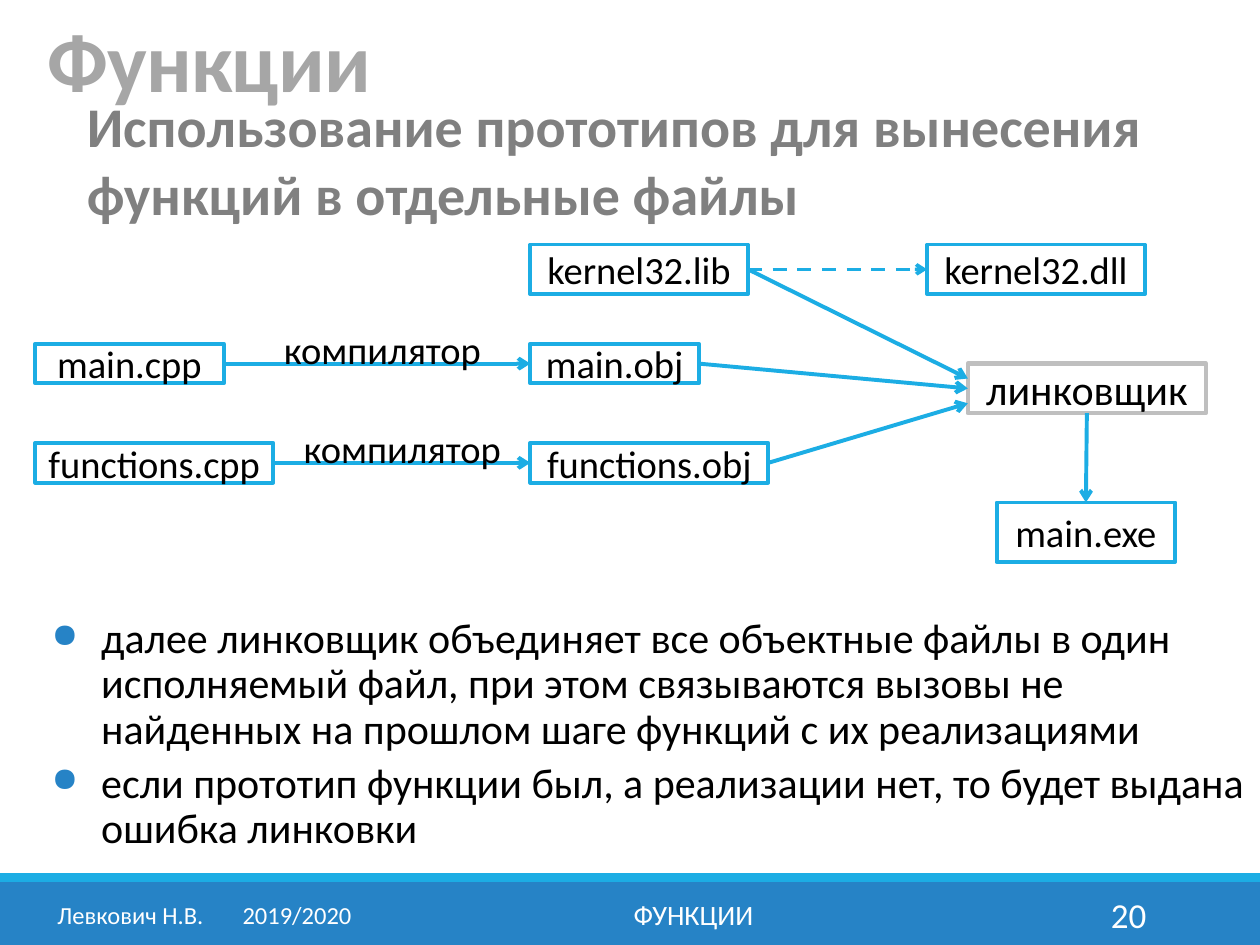
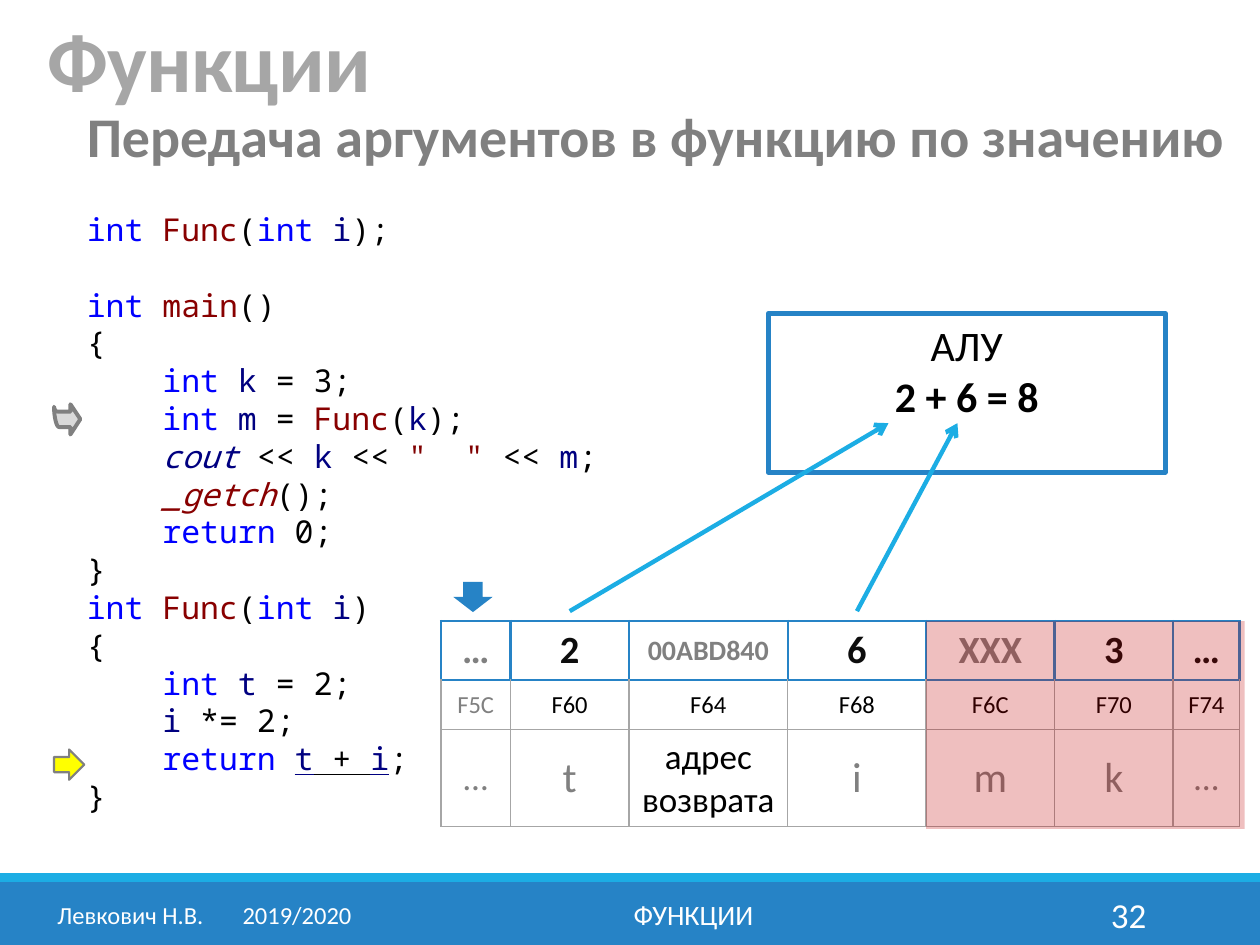
from dataclasses import dataclass
from itertools import groupby

from lxml import etree
from pptx import Presentation
from pptx.dml.color import RGBColor
from pptx.enum.dml import MSO_LINE
from pptx.enum.shapes import MSO_CONNECTOR, MSO_SHAPE
from pptx.enum.text import MSO_ANCHOR, PP_ALIGN
from pptx.oxml.ns import qn
from pptx.util import Cm, Pt


@dataclass(frozen=True)
class Theme:
    font: str = "Calibri"
    mono: str = "Noto Sans Mono"
    blue: str = "2683C6"
    sky: str = "1CADE4"
    white: str = "FFFFFF"
    black: str = "000000"
    ink: str = "0D0D0D"
    gray: str = "808080"
    title_gray: str = "A6A6A6"
    light_gray: str = "BFBFBF"
    pale_gray: str = "D9D9D9"
    yellow: str = "FFFF00"
    red: str = "C00000"
    keyword: str = "0000FF"
    function: str = "880000"
    variable: str = "000080"
    string: str = "800000"
    title: int = 48
    subtitle: int = 32
    body: int = 24
    node: int = 22
    medium: int = 20
    code: int = 18
    small: int = 16
    tiny: int = 14


T = Theme()
LEFT, CENTER, RIGHT = PP_ALIGN.LEFT, PP_ALIGN.CENTER, PP_ALIGN.RIGHT
TOP, MIDDLE, BOTTOM = MSO_ANCHOR.TOP, MSO_ANCHOR.MIDDLE, MSO_ANCHOR.BOTTOM

CODE = """int Func(int i);

int main()
{
    int k = 3;
    int m = Func(k);
    cout << k << "  " << m;
    _getch();
    return 0;
}
int Func(int i)
{
    int t = 2;
    i *= 2;
    return t + i;
}"""
CODE_PITCH = 21.6
WORD_COLORS = {
    **dict.fromkeys(("int", "return"), T.keyword),
    **dict.fromkeys(("Func", "main", "_getch"), T.function),
    **dict.fromkeys(("cout", "k", "m", "i", "t"), T.variable),
}
ITALIC_WORDS = ("cout", "_getch")
ACTIVE_EXPRESSION = "t + i"


def rgb(color):
    return RGBColor.from_string(color)


def cm(*values):
    return [Cm(v) for v in values]


def add_run(p, text, size=T.node, color=T.black, font=T.font, bold=False,
            italic=False, underline=False, tracking=None):
    r = p.add_run()
    r.text = text
    f = r.font
    f.name, f.size, f.bold, f.italic = font, Pt(size), bold, italic
    f.underline = underline
    f.color.rgb = rgb(color)
    if tracking:
        r._r.get_or_add_rPr().set("spc", str(tracking))


def put_text(tf, text, align=LEFT, anchor=TOP, line_spacing=None, before=0,
             bullet=None, tab=None, **fmt):
    """Fill a text frame, one paragraph per line; a vertical tab breaks a line."""
    tf.word_wrap = True
    tf.vertical_anchor = anchor
    for i, line in enumerate(text.split("\n")):
        p = tf.add_paragraph() if i else tf.paragraphs[0]
        p.alignment = align
        if bullet:
            add_bullet(p, bullet)
        if tab:
            tabs = etree.SubElement(p._p.get_or_add_pPr(), qn("a:tabLst"))
            etree.SubElement(tabs, qn("a:tab"), pos=str(Cm(tab)), algn="l")
        if line_spacing:
            p.line_spacing = line_spacing
        if i and before:
            p.space_before = Pt(before)
        for j, part in enumerate(line.split("\v")):
            if j:
                p.add_line_break()
            add_run(p, part, **fmt)


def add_bullet(p, char):
    pPr = p._p.get_or_add_pPr()
    pPr.set("marL", str(Cm(1)))
    pPr.set("indent", str(-Cm(1)))
    color = etree.SubElement(pPr, qn("a:buClr"))
    etree.SubElement(color, qn("a:srgbClr"), val=T.blue)
    etree.SubElement(pPr, qn("a:buSzPct"), val="80000")
    etree.SubElement(pPr, qn("a:buChar"), char=char)


def add_text(slide, box, text, **fmt):
    put_text(slide.shapes.add_textbox(*cm(*box)).text_frame, text, **fmt)


def style_shape(sp, fill=None, line=None, width=2.25):
    sp.shadow.inherit = False
    if fill:
        sp.fill.solid()
        sp.fill.fore_color.rgb = rgb(fill)
    else:
        sp.fill.background()
    if line:
        sp.line.color.rgb = rgb(line)
        sp.line.width = Pt(width)
    else:
        sp.line.fill.background()
    return sp


def add_box(slide, box, kind=MSO_SHAPE.RECTANGLE, **style):
    return style_shape(slide.shapes.add_shape(kind, *cm(*box)), **style)


def add_arrow(slide, start, end, width=2.25, dashed=False):
    cn = slide.shapes.add_connector(MSO_CONNECTOR.STRAIGHT, *cm(*start, *end))
    cn.line.color.rgb = rgb(T.sky)
    cn.line.width = Pt(width)
    if dashed:
        cn.line.dash_style = MSO_LINE.DASH
    etree.SubElement(cn.line._get_or_add_ln(), qn("a:tailEnd"), type="arrow")
    etree.SubElement(cn._element.spPr, qn("a:effectLst"))


def new_slide(prs, subtitle, subtitle_box, number):
    """Add a slide with the shared bands, title, subtitle and footer."""
    slide = prs.slides.add_slide(prs.slide_layouts[6])
    add_box(slide, (0, 17.78, 25.4, 1.27), fill=T.blue)
    add_box(slide, (0, 17.6, 25.4, 0.18), fill=T.sky)
    add_text(slide, subtitle_box, subtitle, size=T.subtitle, color=T.gray, bold=True)
    add_text(slide, (0.71, 0, 20.95, 2.33), "Функции", anchor=BOTTOM, line_spacing=0.85,
             size=T.title, color=T.title_gray, bold=True, tracking=-50)
    for x, w, text, size, align, tab in (
            (0.81, 6.63, "Левкович Н.В.\t2019/2020", T.tiny, CENTER, 3.73),
            (7.67, 12.62, "ФУНКЦИИ", T.small, CENTER, None),
            (20.62, 2.74, number, T.medium, RIGHT, None)):
        add_text(slide, (x, 17.93, w, 1.02), text, align=align, anchor=MIDDLE,
                 tab=tab, size=size, color=T.white)
    return slide


def build_diagram(slide, left, top):
    nodes = {}

    def node(text, x, y, w, h, line=T.sky, width=2.25, size=T.node):
        nodes[text] = box = (left + x, top + y, w, h)
        sp = add_box(slide, box, line=line, width=width)
        put_text(sp.text_frame, text, align=CENTER, anchor=MIDDLE, size=size)

    def port(name, fx, fy):
        """Point of a node at the given shares of its width and height."""
        x, y, w, h = nodes[name]
        return x + fx * w, y + fy * h

    def link(source, target, entry=0.5, **style):
        add_arrow(slide, port(source, 1, 0.5), port(target, 0, entry), **style)

    node("kernel32.lib", 9.98, 0, 4.39, 1)
    node("kernel32.dll", 17.98, 0, 4.39, 1)
    node("линковщик", 18.8, 2.4, 4.8, 1, line=T.light_gray, width=2.5, size=T.body)
    node("main.exe", 19.38, 5.2, 3.6, 1.2)
    for stem, y, cpp_w, obj_w, label_x in (("main", 2, 3.8, 3.4, 4.6),
                                           ("functions", 4, 4.8, 4.8, 5)):
        node(f"{stem}.cpp", 0, y, cpp_w, 0.8)
        node(f"{stem}.obj", 9.98, y, obj_w, 0.8)
        link(f"{stem}.cpp", f"{stem}.obj")
        add_text(slide, (left + label_x, top + y - 0.2, 4.8, 0.6), "компилятор",
                 align=CENTER, anchor=MIDDLE)
    link("kernel32.lib", "линковщик", entry=0.3)
    link("main.obj", "линковщик")
    link("functions.obj", "линковщик", entry=0.8)
    link("kernel32.lib", "kernel32.dll", width=2, dashed=True)
    add_arrow(slide, port("линковщик", 0.5, 1), port("main.exe", 0.5, 0))


def build_linking_slide(prs):
    slide = new_slide(prs, "Использование прототипов для вынесения\v"
                      "функций в отдельные файлы", (1.5, 1.73, 21.97, 3), "20")
    build_diagram(slide, 0.71, 4.93)
    add_text(slide, (0.79, 12.32, 24.61, 5.08),
             "далее линковщик объединяет все объектные файлы в один исполняемый файл, "
             "при этом связываются вызовы не найденных на прошлом шаге функций "
             "с их реализациями\n"
             "если прототип функции был, а реализации нет, то будет выдана ошибка линковки",
             bullet="●", line_spacing=0.9, before=4.8, size=T.body)


def code_tokens(text):
    """Yield (token, color, italic) for words, strings and the rest."""
    for i, part in enumerate(text.split('"')):
        if i % 2:
            yield f'"{part}"', T.string, False
            continue
        for _, chars in groupby(part, lambda c: c.isalnum() or c == "_"):
            token = "".join(chars)
            yield token, WORD_COLORS.get(token, T.black), token in ITALIC_WORDS


def build_code(slide, box):
    tf = slide.shapes.add_textbox(*cm(*box)).text_frame
    tf.word_wrap = True
    p, gap = tf.paragraphs[0], 0
    for i, line in enumerate(CODE.split("\n")):
        if not line:
            gap = CODE_PITCH
            continue
        if i:
            p = tf.add_paragraph()
        if gap:
            p.space_before, gap = Pt(gap), 0
        for part in line.partition(ACTIVE_EXPRESSION):
            for token, color, italic in code_tokens(part):
                add_run(p, token, size=T.code, color=color, font=T.mono, italic=italic,
                        underline=part == ACTIVE_EXPRESSION)


def set_borders(cell, **sides):
    tcPr = cell._tc.get_or_add_tcPr()
    for side in "LRTB":
        color, width = sides[side]
        ln = etree.SubElement(tcPr, qn(f"a:ln{side}"), w=str(Pt(width)))
        fill = etree.SubElement(ln, qn("a:solidFill"))
        etree.SubElement(fill, qn("a:srgbClr"), val=color)


def build_memory(slide, left, top):
    """Stack cells with addresses and names, the caller's part shaded."""
    cols = (1.4, 2.39, 3.2, 2.79, 2.59, 2.39, 1.34)
    heights = (1.19, 1, 1.95)
    rows = (("…", "2", "00ABD840", "6", "XXX", "3", "…"),
            ("F5С", "F60", "F64", "F68", "F6С", "F70", "F74"),
            ("…", "t", "адрес возврата", "i", "m", "k", "…"))
    gray_cols = ((0, 2, 4), (0,), (0, 1, 3, 4, 5, 6))
    sizes = (T.node, T.tiny, T.body)
    special_sizes = {(0, 2): T.small, (2, 0): T.medium, (2, 2): T.medium, (2, 6): T.medium}
    strong, thin = (T.blue, 1.5), (T.title_gray, 1)

    table = slide.shapes.add_table(3, len(cols), *cm(left, top, sum(cols), sum(heights))).table
    table.first_row = table.horz_banding = False
    for c, w in enumerate(cols):
        table.columns[c].width = Cm(w)
    for r, texts in enumerate(rows):
        table.rows[r].height = Cm(heights[r])
        edge = thin if r else strong
        for c, text in enumerate(texts):
            cell = table.cell(r, c)
            set_borders(cell, L=edge, R=edge, B=edge if r else strong,
                        T=thin if r == 2 else strong)
            cell.fill.solid()
            cell.fill.fore_color.rgb = rgb(T.white)
            color = T.gray if c in gray_cols[r] else T.black if r else T.ink
            put_text(cell.text_frame, text, align=CENTER, color=color, bold=r == 0,
                     size=special_sizes.get((r, c), sizes[r]))
            cell.vertical_anchor = MIDDLE if r or c == 2 else TOP

    shade = add_box(slide, (left + sum(cols[:4]), top, sum(cols[4:]) + 0.1,
                            sum(heights) + 0.05), fill=T.red)
    color = shade.fill._xPr.find(".//" + qn("a:srgbClr"))
    etree.SubElement(color, qn("a:alpha"), val="25000")
    add_box(slide, (left + 0.25, top - 0.79, 0.79, 0.61), MSO_SHAPE.DOWN_ARROW, fill=T.blue)
    for c, tip in ((3, (19.3, 8.53)), (1, (17.91, 8.53))):
        add_arrow(slide, (left + sum(cols[:c]) + cols[c] / 2, top - 0.2), tip, width=2.5)


def bezier(points, steps=8):
    """Points along a cubic curve, without its first point."""
    for n in range(1, steps + 1):
        t = n / steps
        weights = ((1 - t) ** 3, 3 * t * (1 - t) ** 2, 3 * t * t * (1 - t), t ** 3)
        yield tuple(sum(w * pt[axis] for w, pt in zip(weights, points)) for axis in (0, 1))


def add_return_arrow(slide, left, top):
    """Arrow with a curved tail that marks the calling line."""
    root, tip, tail = (0.1, 0.15), (0.1, 0.46), (0, 0.05)
    outline = [(0.33, 0.15), (0.33, 0), (0.53, 0.3), (0.33, 0.61), (0.33, 0.46), tip,
               *bezier((tip, (0.05, 0.46), (0, 0.25), tail)),
               *bezier((tail, (0.02, 0.13), (0.03, 0.15), root))]
    points = [cm(left + x, top + y) for x, y in outline]
    fb = slide.shapes.build_freeform(*cm(left + root[0], top + root[1]))
    fb.add_line_segments(points, close=True)
    style_shape(fb.convert_to_shape(), fill=T.pale_gray, line=T.gray)


def build_by_value_slide(prs):
    slide = new_slide(prs, "Передача аргументов в функцию по значению",
                      (1.5, 1.93, 23.67, 1.63), "32")
    build_code(slide, (1.5, 4.11, 11.4, 12.57))
    alu = add_box(slide, (15.49, 6.32, 8, 3.2), line=T.blue, width=3)
    put_text(alu.text_frame, "АЛУ", align=CENTER, size=T.body)
    p = alu.text_frame.add_paragraph()
    p.alignment = CENTER
    add_run(p, "2 + 6 = 8", size=T.body, bold=True)
    build_memory(slide, 8.89, 12.52)
    add_box(slide, (1.09, 15.11, 0.61, 0.61), MSO_SHAPE.RIGHT_ARROW,
            fill=T.yellow, line=T.gray, width=1.25)
    add_return_arrow(slide, 1.09, 8.15)


def main():
    prs = Presentation()
    prs.slide_width, prs.slide_height = cm(25.4, 19.05)
    build_linking_slide(prs)
    build_by_value_slide(prs)
    prs.save("out.pptx")


if __name__ == "__main__":
    main()
